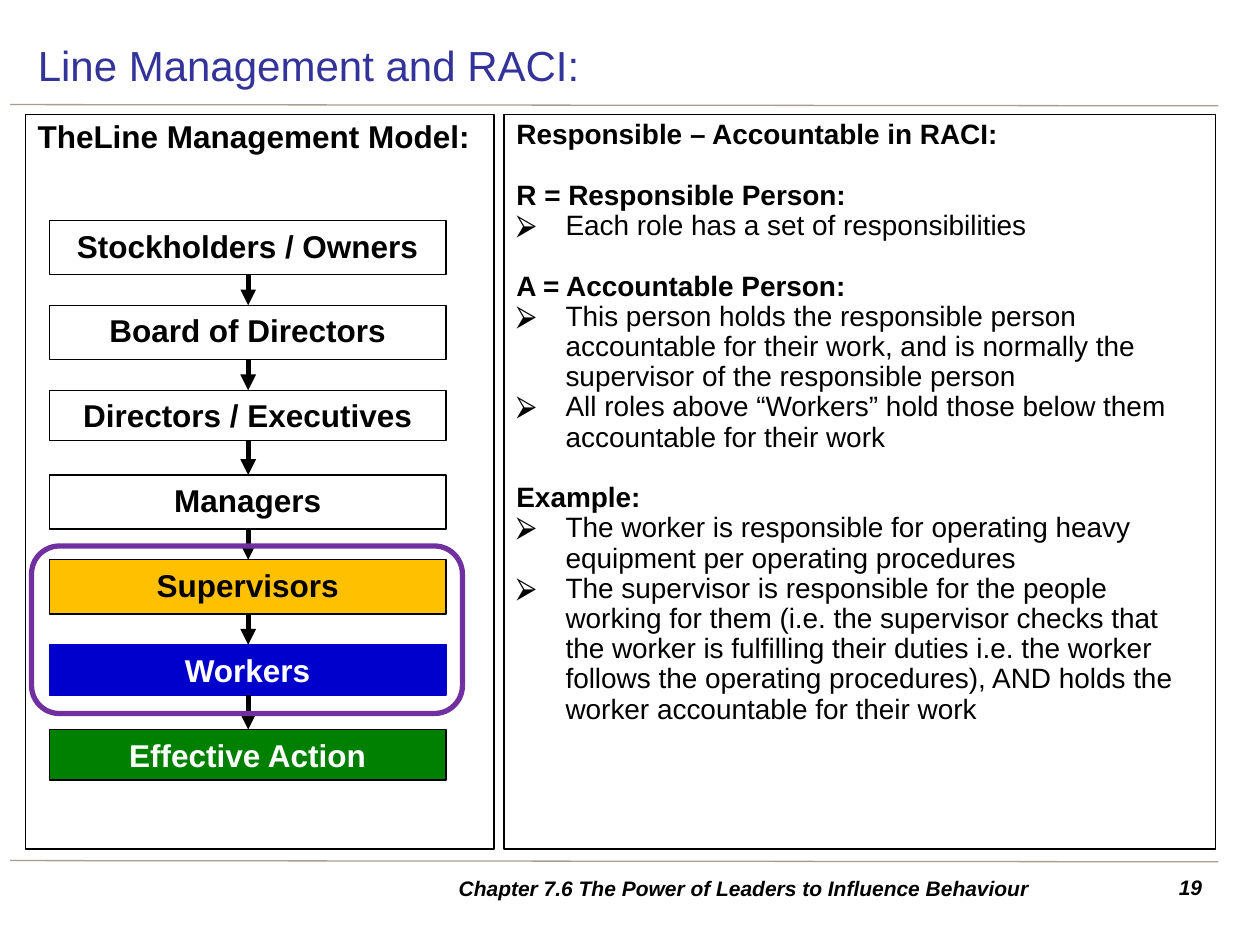
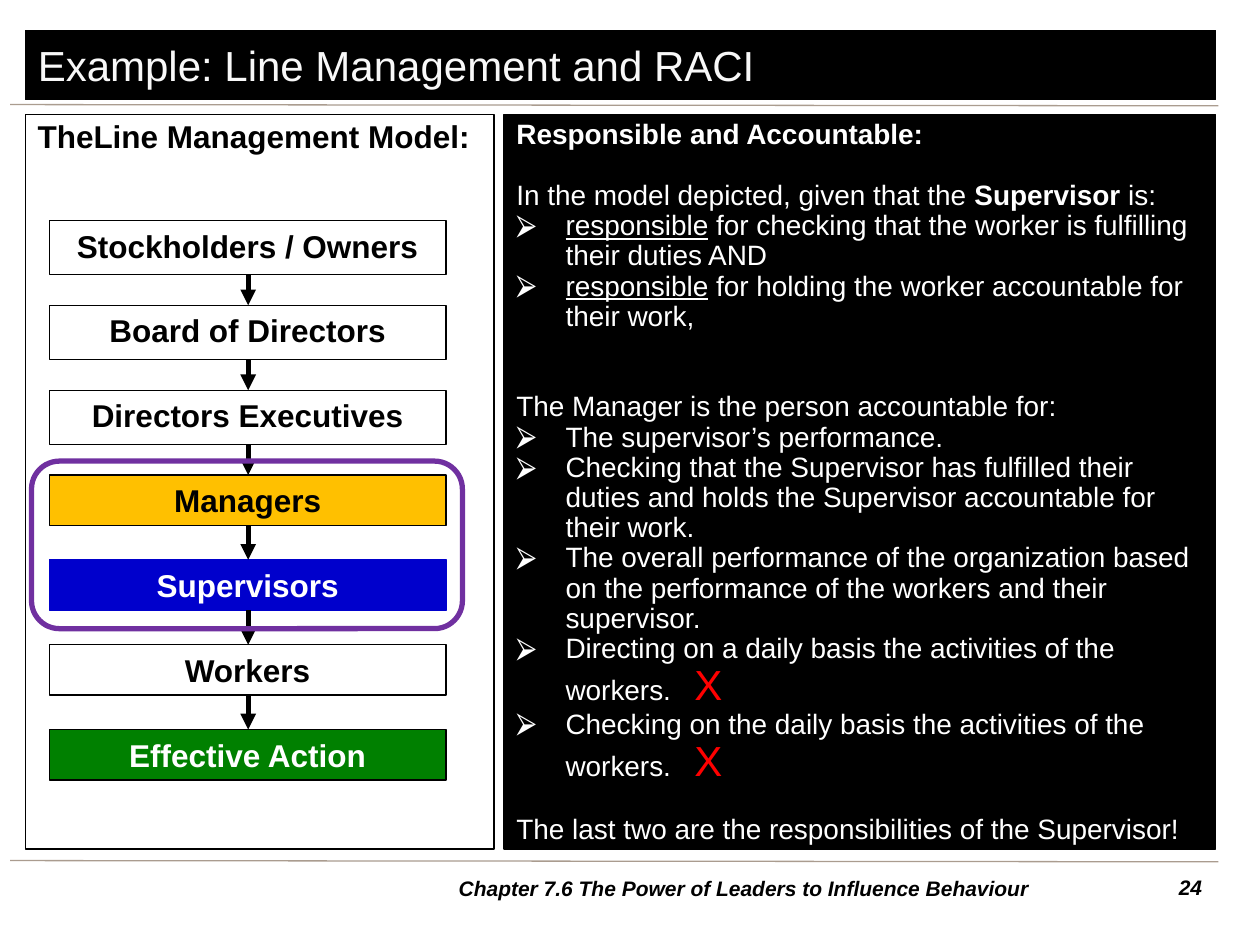
from dataclasses import dataclass

from lxml import etree
from pptx import Presentation
from pptx.dml.color import RGBColor
from pptx.enum.shapes import MSO_CONNECTOR, MSO_SHAPE
from pptx.enum.text import MSO_ANCHOR, MSO_AUTO_SIZE, PP_ALIGN
from pptx.oxml.ns import qn
from pptx.util import Inches, Pt

STRAIGHT = MSO_CONNECTOR.STRAIGHT
RECTANGLE, ROUNDED = MSO_SHAPE.RECTANGLE, MSO_SHAPE.ROUNDED_RECTANGLE
TOP, MIDDLE = MSO_ANCHOR.TOP, MSO_ANCHOR.MIDDLE
LEFT, CENTER, RIGHT = PP_ALIGN.LEFT, PP_ALIGN.CENTER, PP_ALIGN.RIGHT
NO_FIT = MSO_AUTO_SIZE.NONE

FONT = "Arial"
COLORS = {
    "black": "000000", "white": "FFFFFF", "title": "333399", "title_light": "F8F8F8",
    "rule": "AA9C8F", "amber": "FFC000", "blue": "0000CC", "green": "008000",
    "purple": "7030A0", "red": "FF0000",
}
ROLE_STYLES = {
    "plain": ("white", "black", "black"),
    "accountable": ("amber", "black", "black"),
    "responsible": ("blue", "blue", "white"),
    "result": ("green", "black", "white"),
}
LINE_SPACING = 0.9
BLANK_LINE = 17.28
BULLET_INDENT = 0.39
TALL, SHORT = 0.43, 0.40
CHAPTER = "Chapter 7.6 The Power of Leaders to Influence Behaviour"


@dataclass
class Box:
    """A rectangle on the slide, in inches."""

    left: float
    top: float
    width: float
    height: float

    def lengths(self):
        """Return left, top, width and height as slide lengths."""
        return [Inches(value) for value in (self.left, self.top, self.width, self.height)]


TITLE_BOX = Box(0.2, 0.24, 9.45, 0.55)
MODEL_BOX = Box(0.2, 0.91, 3.72, 5.83)
RACI_BOX = Box(4, 0.91, 5.65, 5.83)
FOOTER_BOX = Box(2.95, 6.89, 5.91, 0.31)
NUMBER_BOX = Box(9.06, 6.89, 0.58, 0.31)


def color(name):
    """Look up a palette colour."""
    return RGBColor.from_string(COLORS[name])


def format_span(span, size, ink, bold=False, italic=False, underline=False):
    """Set the font of one run."""
    font = span.font
    font.name, font.size, font.color.rgb = FONT, Pt(size), color(ink)
    font.bold, font.italic, font.underline = bold, italic, underline


def write_line(box, text, size, ink, align=LEFT, anchor=TOP, **style):
    """Write one formatted paragraph into a shape."""
    frame = box.text_frame
    frame.word_wrap, frame.auto_size, frame.vertical_anchor = True, NO_FIT, anchor
    frame.text = text
    para = frame.paragraphs[0]
    para.alignment = align
    format_span(para.runs[0], size, ink, **style)
    return para


def add_panel(page, area, fill=None, line="black", width=0.75, kind=RECTANGLE):
    """Add an outlined shape, filled if a colour is given."""
    panel = page.shapes.add_shape(kind, *area.lengths())
    panel.shadow.inherit = False
    if fill:
        panel.fill.solid()
        panel.fill.fore_color.rgb = color(fill)
    else:
        panel.fill.background()
    panel.line.color.rgb, panel.line.width = color(line), Pt(width)
    return panel


def add_line(page, start, end, ink, width, arrow=False):
    """Add a straight line, with an arrowhead at its end if asked."""
    line = page.shapes.add_connector(STRAIGHT, *[Inches(value) for value in start + end])
    line.line.color.rgb, line.line.width = color(ink), Pt(width)
    if arrow:
        etree.SubElement(line.line._get_or_add_ln(), qn("a:tailEnd"), type="triangle")
    etree.SubElement(line._element.spPr, qn("a:effectLst"))


def add_frame(page, title, number, dark):
    """Place the title, the two rules and the footer."""
    heading = page.shapes.title
    heading.left, heading.top, heading.width, heading.height = TITLE_BOX.lengths()
    write_line(heading, title, 24, "title_light" if dark else "title", anchor=MIDDLE)
    if dark:
        heading.fill.solid()
        heading.fill.fore_color.rgb = color("black")
        heading.line.color.rgb, heading.line.width = color("black"), Pt(0.75)
    for top in (0.83, 6.83):
        add_line(page, (0.08, top), (9.67, top + 0.01), "rule", 0.75)
    for area, text, align in ((FOOTER_BOX, CHAPTER, CENTER), (NUMBER_BOX, number, RIGHT)):
        box = page.shapes.add_textbox(*area.lengths())
        write_line(box, text, 12, "black", align, MIDDLE if align == CENTER else TOP,
                   bold=True, italic=True)


def add_model(page, area, roles):
    """Draw the chain of roles and ring the accountable pair."""
    panel = add_panel(page, area)
    para = write_line(panel, "TheLine Management Model:", 18, "black", bold=True)
    para.line_spacing = LINE_SPACING
    pitch = 4.04 / (len(roles) - 1)
    middle = area.left + 1.77
    previous_bottom = None
    for index, (name, style, height) in enumerate(roles):
        fill, line, ink = ROLE_STYLES[style]
        top = area.top + 0.84 + index * pitch
        role = add_panel(page, Box(area.left + 0.19, top, 3.15, height), fill, line)
        write_line(role, name, 18, ink, CENTER, bold=True)
        if previous_bottom:
            add_line(page, (middle, previous_bottom), (middle, top), "black", 3, arrow=True)
        previous_bottom = top + height
        if style == "accountable":
            ring_top = top - 0.11
    ring_area = Box(area.left + 0.05, ring_top, 3.42, 1.33)
    add_panel(page, ring_area, line="purple", width=3, kind=ROUNDED)


def add_bullet(para, ink):
    """Give a paragraph an arrow bullet and a hanging indent."""
    properties = para._p.get_or_add_pPr()
    indent = Inches(BULLET_INDENT)
    properties.set("marL", str(indent))
    properties.set("indent", str(-indent))
    tint = etree.SubElement(properties, qn("a:buClr"))
    etree.SubElement(tint, qn("a:srgbClr"), val=COLORS[ink])
    etree.SubElement(properties, qn("a:buFont"), typeface=FONT)
    etree.SubElement(properties, qn("a:buChar"), char="⮚")


def add_span(para, text, ink, mark):
    """Add one run, styled by its mark."""
    span = para.add_run()
    span.text = text
    if mark == "cross":
        format_span(span, 24, "red")
    else:
        format_span(span, 16, ink, bold=mark == "bold", underline=mark == "underline")
    if mark == "wide":
        span.font._element.set("spc", "890")


def add_raci(page, area, lines, dark):
    """Write the explanation of the roles in its panel."""
    ink = "white" if dark else "black"
    panel = add_panel(page, area, "black" if dark else None)
    frame = panel.text_frame
    frame.word_wrap, frame.vertical_anchor = True, TOP
    for index, (kind, blanks, spans) in enumerate(lines):
        para = frame.add_paragraph() if index else frame.paragraphs[0]
        para.alignment, para.line_spacing = LEFT, LINE_SPACING
        para.space_before = Pt(blanks * BLANK_LINE)
        if kind == "bullet":
            add_bullet(para, ink)
        for text, mark in spans:
            add_span(para, text, ink, mark)


def heading(text, blanks=1):
    """Describe a bold line after some blank space."""
    return "line", blanks, [(text, "bold")]


def plain(text, blanks):
    """Describe a plain line after some blank space."""
    return "line", blanks, [(text, None)]


def bullet(text, lead=None, crossed=False):
    """Describe a bullet with an underlined lead or a closing cross."""
    spans = [(lead, "underline")] if lead else []
    spans.append((text, None))
    if crossed:
        spans += [(" ", "wide"), ("X", "cross")]
    return "bullet", 0, spans


SLIDES = [
    {
        "title": "Line Management and RACI:", "number": "19", "dark": False,
        "roles": [
            ("Stockholders / Owners", "plain", TALL),
            ("Board of Directors", "plain", TALL),
            ("Directors / Executives", "plain", SHORT),
            ("Managers", "plain", TALL),
            ("Supervisors", "accountable", TALL),
            ("Workers", "responsible", SHORT),
            ("Effective Action", "result", SHORT),
        ],
        "lines": [
            heading("Responsible – Accountable in RACI:", 0),
            heading("R = Responsible Person:"),
            bullet("Each role has a set of responsibilities"),
            heading("A = Accountable Person:"),
            bullet("This person holds the responsible person accountable for their work, "
                   "and is normally the supervisor of the responsible person"),
            bullet("All roles above “Workers” hold those below them accountable for their work"),
            heading("Example:"),
            bullet("The worker is responsible for operating heavy equipment "
                   "per operating procedures"),
            bullet("The supervisor is responsible for the people working for them (i.e. the "
                   "supervisor checks that the worker is fulfilling their duties i.e. the "
                   "worker follows the operating procedures), AND holds the worker "
                   "accountable for their work"),
        ],
    },
    {
        "title": "Example: Line Management and RACI", "number": "24", "dark": True,
        "roles": [
            ("Stockholders / Owners", "plain", TALL),
            ("Board of Directors", "plain", TALL),
            ("Directors Executives", "plain", TALL),
            ("Managers", "accountable", SHORT),
            ("Supervisors", "responsible", SHORT),
            ("Workers", "plain", SHORT),
            ("Effective Action", "result", SHORT),
        ],
        "lines": [
            heading("Responsible and Accountable:", 0),
            ("line", 1, [("In the model depicted, given that the ", None),
                         ("Supervisor", "bold"), (" is:", None)]),
            bullet(" for checking that the worker is fulfilling their duties AND",
                   "responsible"),
            bullet(" for holding the worker accountable for their work,", "responsible"),
            plain("The Manager is the person accountable for:", 2),
            bullet("The supervisor’s performance."),
            bullet("Checking that the Supervisor has fulfilled their duties and holds the "
                   "Supervisor accountable for their work."),
            bullet("The overall performance of the organization based on the performance of "
                   "the workers and their supervisor."),
            bullet("Directing on a daily basis the activities of the workers.", crossed=True),
            bullet("Checking on the daily basis the activities of the workers.", crossed=True),
            plain("The last two are the responsibilities of the Supervisor!", 1),
        ],
    },
]


def main():
    """Build the deck and save it."""
    deck = Presentation()
    deck.slide_width, deck.slide_height = Inches(10), Inches(7.5)
    title_only = deck.slide_layouts.get_by_name("Title Only")
    for content in SLIDES:
        page = deck.slides.add_slide(title_only)
        add_frame(page, content["title"], content["number"], content["dark"])
        add_raci(page, RACI_BOX, content["lines"], content["dark"])
        add_model(page, MODEL_BOX, content["roles"])
    deck.save("out.pptx")


if __name__ == "__main__":
    main()
